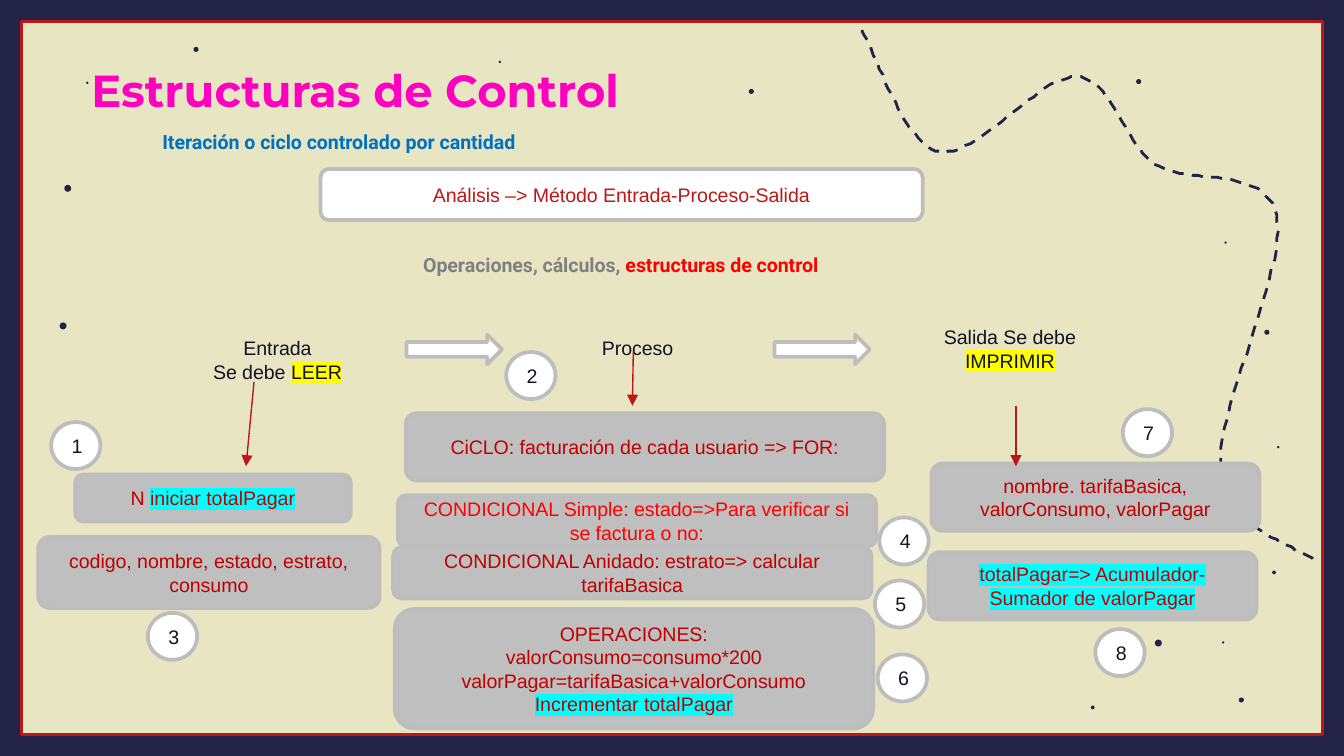
"""Build a slide on the input-process-output analysis of a counted loop."""
from lxml import etree
from pptx import Presentation
from pptx.dml.color import RGBColor
from pptx.enum.dml import MSO_LINE
from pptx.enum.shapes import MSO_CONNECTOR, MSO_SHAPE
from pptx.enum.text import MSO_ANCHOR, MSO_AUTO_SIZE, PP_ALIGN
from pptx.oxml.ns import qn
from pptx.util import Pt

RECTANGLE, ROUNDED = MSO_SHAPE.RECTANGLE, MSO_SHAPE.ROUNDED_RECTANGLE
OVAL, RIGHT_ARROW = MSO_SHAPE.OVAL, MSO_SHAPE.RIGHT_ARROW
STRAIGHT, DASH = MSO_CONNECTOR.STRAIGHT, MSO_LINE.DASH
LEFT, CENTER, JUSTIFY = PP_ALIGN.LEFT, PP_ALIGN.CENTER, PP_ALIGN.JUSTIFY
MIDDLE, GROW = MSO_ANCHOR.MIDDLE, MSO_AUTO_SIZE.SHAPE_TO_FIT_TEXT

CREAM = RGBColor(0xE8, 0xE5, 0xC3)
NAVY = RGBColor(0x23, 0x23, 0x47)
INK = RGBColor(0x12, 0x12, 0x24)
CRIMSON = RGBColor(0xBD, 0x17, 0x17)
DARK_RED = RGBColor(0xC0, 0x00, 0x00)
RED = RGBColor(0xFF, 0x00, 0x00)
PINK = RGBColor(0xFF, 0x00, 0xC1)
BLUE = RGBColor(0x00, 0x70, 0xC0)
GRAY = RGBColor(0x80, 0x80, 0x80)
SILVER = RGBColor(0xBF, 0xBF, 0xBF)
BORDER = RGBColor(0xBD, 0xBD, 0xBD)
WHITE = RGBColor(0xFF, 0xFF, 0xFF)
YELLOW = RGBColor(0xFF, 0xFF, 0x00)
CYAN = RGBColor(0x00, 0xFF, 0xFF)

WIDTH, HEIGHT, FRAME = 720, 405, 11.5

presentation = Presentation()
presentation.slide_width, presentation.slide_height = Pt(WIDTH), Pt(HEIGHT)
slide = presentation.slides.add_slide(presentation.slide_layouts[6])
slide.background.fill.solid()
slide.background.fill.fore_color.rgb = CREAM


def add_block(kind, bounds, fill=None, line=None, line_width=2):
    shape = slide.shapes.add_shape(kind, *[Pt(length) for length in bounds])
    shape.shadow.inherit = False
    if fill is None:
        shape.fill.background()
    else:
        shape.fill.solid()
        shape.fill.fore_color.rgb = fill
    if line is None:
        shape.line.fill.background()
    else:
        shape.line.color.rgb = line
        shape.line.width = Pt(line_width)
    return shape


def write(shape, paragraphs, alignment=CENTER, font="Arial", size=10.5, bold=False):
    frame = shape.text_frame
    frame.word_wrap = True
    for index, runs in enumerate(paragraphs):
        paragraph = frame.paragraphs[0] if index == 0 else frame.add_paragraph()
        paragraph.alignment = alignment
        for text, color, *highlight in runs:
            run = paragraph.add_run()
            run.text = text
            run.font.size = Pt(size)
            run.font.bold = bold
            run.font.color.rgb = color
            for marker in highlight:
                element = etree.SubElement(run.font._element, qn("a:highlight"))
                etree.SubElement(element, qn("a:srgbClr"), val=str(marker))
            run.font.name = font


for bounds in [
    (0, 0, WIDTH, FRAME),
    (0, HEIGHT - FRAME, WIDTH, FRAME),
    (0, 0, FRAME, HEIGHT),
    (WIDTH - FRAME, 0, FRAME, HEIGHT),
]:
    add_block(RECTANGLE, bounds, NAVY)
add_block(RECTANGLE, (FRAME, FRAME, WIDTH - 2 * FRAME, HEIGHT - 2 * FRAME), None, CRIMSON, 1.5)

trail = [
    (461.5, 15.8), (468.7, 26.6), (483.8, 77.8), (503.3, 81.4),
    (522, 85.7), (558, 39.6), (576.7, 41), (596.2, 41.8),
    (600.5, 75.6), (618.5, 87.8), (636.5, 100.1), (677.5, 87.8),
    (684, 115.2), (689.8, 143.3), (650.2, 222.5), (653.8, 253.4),
    (657.4, 284.4), (697, 293), (705.6, 301),
]
steps = 24
points = []
for start in range(0, len(trail) - 1, 3):
    for step in range(1, steps + 1):
        t = step / steps
        weights = ((1 - t) ** 3, 3 * t * (1 - t) ** 2, 3 * t * t * (1 - t), t ** 3)
        corners = trail[start:start + 4]
        points.append(tuple(sum(w * c[axis] for w, c in zip(weights, corners)) for axis in (0, 1)))
builder = slide.shapes.build_freeform(*trail[0], scale=Pt(1))
builder.add_line_segments(points, close=False)
curve = builder.convert_to_shape()
curve.shadow.inherit = False
curve.fill.background()
curve.line.color.rgb = NAVY
curve.line.width = Pt(1.5)
curve.line.dash_style = DASH

dots = {
    3.7: [(620.5, 344.5), (36.3, 100.9), (33.8, 174.6)],
    2.7: [(402.5, 49), (665, 375), (678.7, 178), (42.7, 234.7), (610, 43.7), (105, 26.5)],
    2: [(682.5, 306.7), (585.4, 379)],
    1.2: [(655.3, 344.2), (656.6, 130), (267.8, 33.2), (684.8, 239.6), (46.8, 44.4)],
}
for diameter, centers in dots.items():
    for x, y in centers:
        add_block(OVAL, (x - diameter / 2, y - diameter / 2, diameter, diameter), NAVY)

headings = [
    ((41.8, 30.2, 366.5, 36), [("Estructuras de Control", PINK)], LEFT, "Montserrat", 24),
    ((79.9, 66.2, 307.4, 20), [("Iteración o ciclo controlado por cantidad", BLUE)],
     JUSTIFY, "Roboto", 10.5),
    ((219.6, 131.8, 485.3, 20),
     [("Operaciones, cálculos, ", GRAY), ("estructuras de control", RED)],
     JUSTIFY, "Roboto", 10.5),
]
for bounds, runs, alignment, font, size in headings:
    box = slide.shapes.add_textbox(*[Pt(length) for length in bounds])
    write(box, [runs], alignment, font, size, True)
    box.text_frame.auto_size = GROW

stages = [
    (77.8, 157.7, [[("Entrada", INK)], [("Se debe ", INK), ("LEER", INK, YELLOW)]]),
    (270.7, 151.2, [[("Proceso", INK)]]),
    (470.2, 151.9, [[("Salida Se debe ", INK), ("IMPRIMIR", INK, YELLOW)]]),
]
for x, y, paragraphs in stages:
    write(add_block(OVAL, (x, y, 141.8, 69.8), CREAM, CREAM), paragraphs)

for x in (217.8, 414.9):
    add_block(RIGHT_ARROW, (x, 179.3, 51.1, 15.8), WHITE, BORDER)

boxes = [
    ((171.7, 90.5, 322.6, 27.4), WHITE,
     [[("Análisis –> Método Entrada-Proceso-Salida", CRIMSON)]]),
    ((40.3, 254.2, 147.6, 25.2), SILVER,
     [[("N ", DARK_RED), ("iniciar totalPagar", DARK_RED, CYAN)]]),
    ((217.4, 221.4, 256.3, 36), SILVER,
     [[("CiCLO: facturación de cada usuario => FOR:", DARK_RED)]]),
    ((499, 248.4, 175.7, 36), SILVER,
     [[("nombre. tarifaBasica, valorConsumo, valorPagar", DARK_RED)]]),
    ((20.5, 287.6, 182.9, 38.2), SILVER,
     [[("codigo, nombre, estado, estrato, consumo", DARK_RED)]]),
    ((213.1, 265.3, 256.3, 27.4), SILVER,
     [[("CONDICIONAL Simple: estado=>Para verificar si se factura o no:", RED)]]),
    ((210.6, 293.2, 256.3, 27.4), SILVER,
     [[("CONDICIONAL Anidado: estrato=> calcular tarifaBasica", DARK_RED)]]),
    ((211.5, 326.2, 256.3, 64.1), SILVER,
     [[("OPERACIONES:", DARK_RED)],
      [("valorConsumo=consumo*200", DARK_RED)],
      [("valorPagar=tarifaBasica+valorConsumo", DARK_RED)],
      [("Incrementar totalPagar", DARK_RED, CYAN)]]),
    ((497.5, 295.9, 175.7, 36), SILVER,
     [[("totalPagar=> Acumulador-Sumador de valorPagar", DARK_RED, CYAN)]]),
]
for bounds, fill, paragraphs in boxes:
    write(add_block(ROUNDED, bounds, fill, BORDER), paragraphs)

for ends in [(136.1, 204.5, 131.8, 249.8), (339.3, 188, 338.8, 217.4), (544.3, 217.4, 544.3, 249.8)]:
    connector = slide.shapes.add_connector(STRAIGHT, *[Pt(length) for length in ends])
    connector.line.color.rgb = CRIMSON
    connector.line.width = Pt(0.75)
    etree.SubElement(connector.line._get_or_add_ln(), qn("a:tailEnd"), type="triangle")
    etree.SubElement(connector._element.spPr, qn("a:effectLst"))

badges = [
    (27.4, 226.1), (271.2, 188.6), (79.2, 328.3), (471.1, 277.2),
    (468.7, 311), (470.2, 350.6), (601.5, 219.2), (586.8, 337),
]
for number, (x, y) in enumerate(badges, start=1):
    write(add_block(OVAL, (x, y, 26.4, 25.2), WHITE, BORDER), [[(str(number), INK)]])

for shape in slide.shapes:
    if shape.has_text_frame and shape.text_frame.text and shape.text_frame.auto_size != GROW:
        shape.text_frame.vertical_anchor = MIDDLE

presentation.save("out.pptx")
